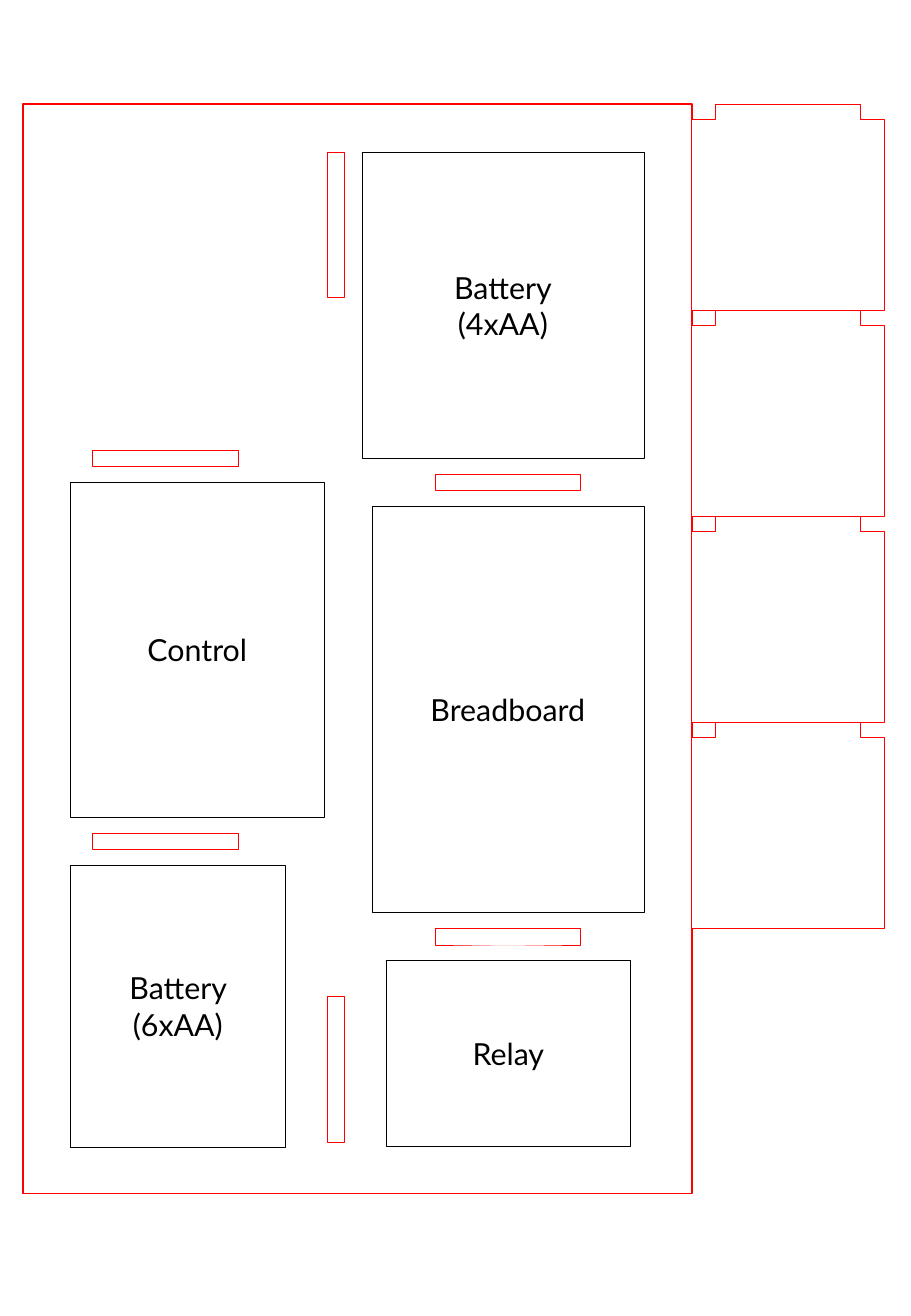
from dataclasses import dataclass

from pptx import Presentation
from pptx.dml.color import RGBColor
from pptx.enum.shapes import MSO_SHAPE as Preset
from pptx.enum.text import MSO_ANCHOR as Anchor, PP_ALIGN as Align
from pptx.util import Pt


@dataclass(frozen=True)
class Theme:
    paper: RGBColor = RGBColor(255, 255, 255)
    cut: RGBColor = RGBColor(255, 0, 0)
    ink: RGBColor = RGBColor(0, 0, 0)
    font: str = "Lato"
    size: float = 18
    thick: float = 1
    thin: float = 0.25


THEME = Theme()

# Content: each column lists (label, left, width, height) from the top down
BOARD = (13.7, 61.7, 396.6, 645.8)
COLUMNS = [
    {"top": 90.2, "slot_x": 301, "slot_above": False, "parts": [
        ("Battery\n(4xAA)", 214.6, 167, 181.4),
        ("Breadboard", 220.4, 161.2, 240.8),
        ("Relay", 229, 144.6, 110.4)]},
    {"top": 285.8, "slot_x": 97.9, "slot_above": True, "parts": [
        ("Control", 41.7, 150.5, 198.6),
        ("Battery (6xAA)", 41.7, 127.5, 167)]},
]
GAP = 28.4
SLOT_LENGTH, SLOT_DEPTH = 86.4, 10
UPRIGHT_X, UPRIGHT_YS = 198.9, (133.3, 633.8)

# Side panels: a tab on top, notched at both corners
PANEL_COUNT = 4
PANEL_LEFT, PANEL_TOP = 410.3, 62.4
PANEL_WIDTH, PANEL_HEIGHT = 113.4, 121.9
NOTCH_WIDTH, NOTCH_HEIGHT = 14.2, 8.6


def style(shape, color, weight):
    shape.shadow.inherit = False
    shape.fill.solid()
    shape.fill.fore_color.rgb = THEME.paper
    shape.line.color.rgb = color
    shape.line.width = Pt(weight)


def add_box(shapes, frame, color, weight=THEME.thin, label=""):
    box = shapes.add_shape(Preset.RECTANGLE, *map(Pt, frame))
    style(box, color, weight)
    if label:
        box.text_frame.text = label
        box.text_frame.word_wrap = True
        box.text_frame.vertical_anchor = Anchor.MIDDLE
        for para in box.text_frame.paragraphs:
            para.alignment = Align.CENTER
            for span in para.runs:
                span.font.name = THEME.font
                span.font.size = Pt(THEME.size)
                span.font.color.rgb = THEME.ink


def add_slot(shapes, center_x, center_y, width=SLOT_LENGTH, height=SLOT_DEPTH):
    frame = (center_x - width / 2, center_y - height / 2, width, height)
    add_box(shapes, frame, THEME.cut)


def add_panel(shapes, left, top):
    right, bottom = left + PANEL_WIDTH, top + PANEL_HEIGHT
    tab_left, tab_right = left + NOTCH_WIDTH, right - NOTCH_WIDTH
    shoulder = top + NOTCH_HEIGHT
    outline = shapes.build_freeform(tab_left, top, scale=Pt(1))
    outline.add_line_segments([
        (tab_right, top), (tab_right, shoulder), (right, shoulder),
        (right, bottom), (left, bottom), (left, shoulder),
        (tab_left, shoulder)], close=True)
    style(outline.convert_to_shape(), THEME.cut, THEME.thin)


deck = Presentation()
deck.slide_width, deck.slide_height = Pt(540), Pt(780)
page = deck.slides.add_slide(deck.slide_layouts[6])

# Base board with its components, and the slots in the gaps between them
assembly = page.shapes.add_group_shape().shapes
add_box(assembly, BOARD, THEME.cut, THEME.thick)
for column in COLUMNS:
    top = column["top"]
    for index, (label, left, width, height) in enumerate(column["parts"]):
        add_box(assembly, (left, top, width, height), THEME.ink, label=label)
        if index or column["slot_above"]:
            add_slot(page.shapes, column["slot_x"], top - GAP / 2)
        top += height + GAP

# Upright slots
for center_y in UPRIGHT_YS:
    add_slot(page.shapes, UPRIGHT_X, center_y, SLOT_DEPTH, SLOT_LENGTH)

# Stack of side panels
for index in range(PANEL_COUNT):
    add_panel(page.shapes, PANEL_LEFT, PANEL_TOP + index * PANEL_HEIGHT)

deck.save("out.pptx")
